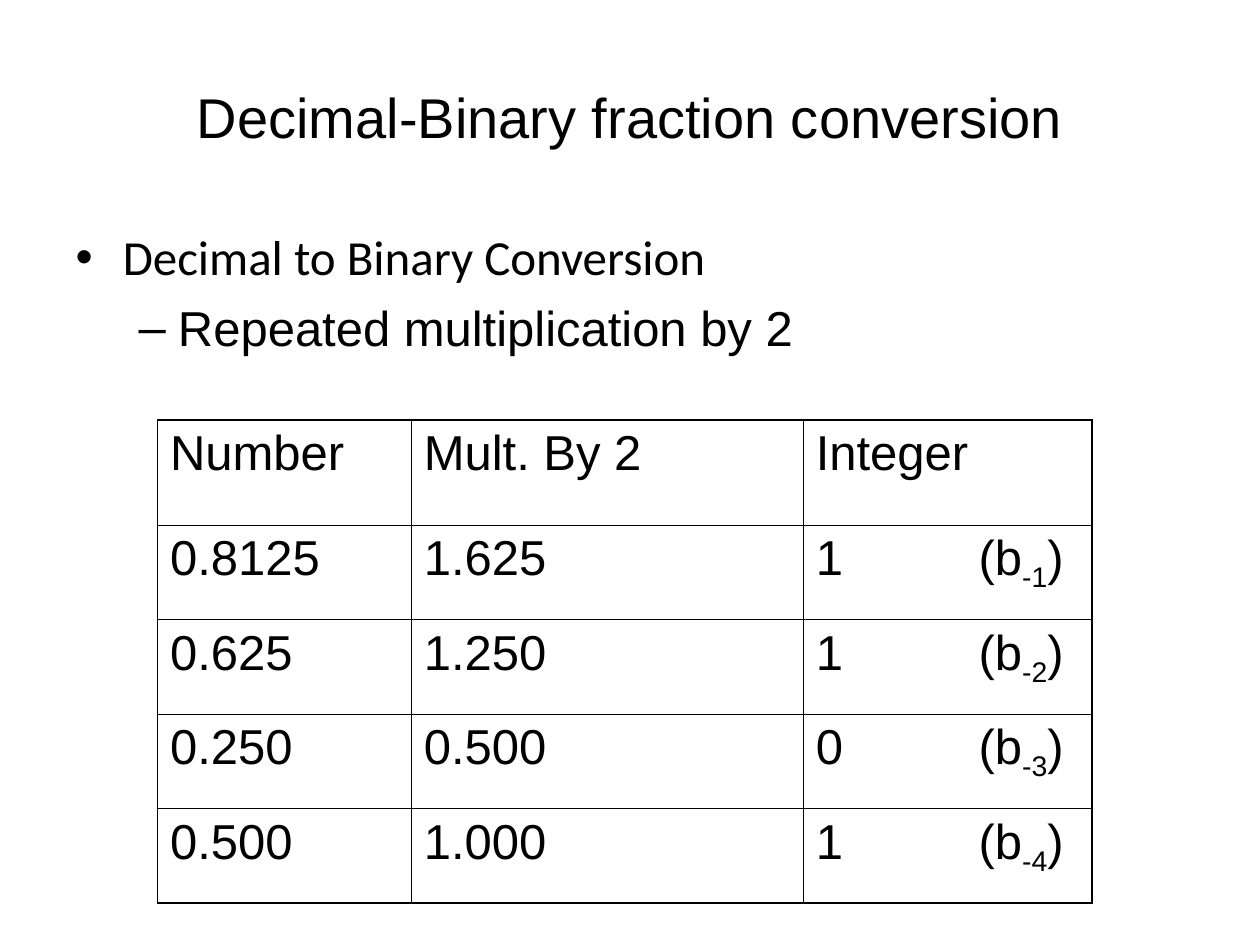
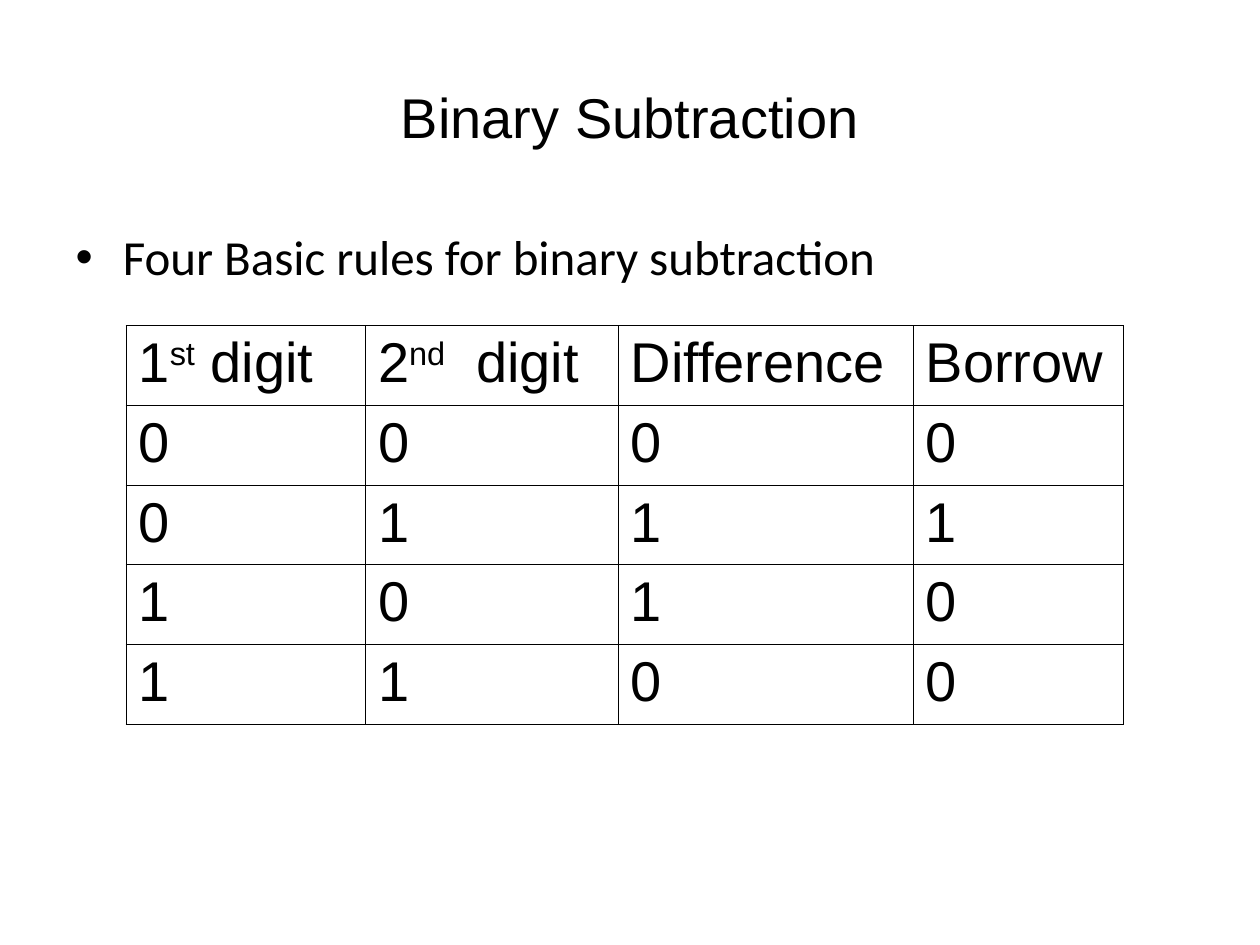
from dataclasses import dataclass

from lxml.etree import SubElement
from pptx import Presentation
from pptx.dml.color import RGBColor
from pptx.enum.text import MSO_ANCHOR as Anchor, MSO_AUTO_SIZE as AutoSize, PP_ALIGN as Align
from pptx.oxml.ns import qn
from pptx.util import Pt

INK = "000000"
SANS = "Arial"
BULLET_FONT = "Calibri"
TITLE_SIZE = 32
LIST_SIZE = 28
SPACE_BEFORE = 7
THIN = 0.45
THICK = 1.08
SUBSCRIPT = -25
SUPERSCRIPT = 30


@dataclass
class Box:
    """A rectangle in points."""
    left: float
    top: float
    width: float
    height: float


@dataclass
class TableStyle:
    """What sets one table apart from another."""
    size: float
    align: Align
    space_before: float
    frame: float
    tab: float = 0


TITLE_BOX = Box(36, 21.6, 648, 90)


def color(value):
    """Turn a hex string into a colour."""
    return RGBColor.from_string(value)


def place(shape, box):
    """Move a shape into a box."""
    shape.left, shape.top = Pt(box.left), Pt(box.top)
    shape.width, shape.height = Pt(box.width), Pt(box.height)


def add_span(para, text, size, font=SANS, baseline=0):
    """Add one formatted run, raised or lowered by a percentage."""
    span = para.add_run()
    span.text = text
    span.font.size, span.font.name = Pt(size), font
    span.font.color.rgb = color(INK)
    if baseline:
        span._r.get_or_add_rPr().set("baseline", str(baseline * 1000))


def fill_title(page, text):
    """Write the centred slide title."""
    title = page.shapes.title
    place(title, TITLE_BOX)
    title.text_frame.vertical_anchor = Anchor.MIDDLE
    title.text_frame.auto_size = AutoSize.NONE
    para = title.text_frame.paragraphs[0]
    para.alignment = Align.CENTER
    add_span(para, text, TITLE_SIZE)


def fill_list(page, box, items):
    """Write the bulleted list, one (level, text, font) item a paragraph."""
    body = page.placeholders[1]
    place(body, box)
    frame = body.text_frame
    frame.auto_size = AutoSize.NONE
    for index, (level, text, font) in enumerate(items):
        para = frame.add_paragraph() if index else frame.paragraphs[0]
        para.level = level
        para.space_before = Pt(SPACE_BEFORE)
        add_span(para, text, LIST_SIZE, font)


def set_borders(cell, widths):
    """Draw the left, right, top and bottom borders of a cell."""
    props = cell._tc.get_or_add_tcPr()
    for side, width in zip("LRTB", widths):
        line = SubElement(props, qn(f"a:ln{side}"), w=str(Pt(width)))
        fill = SubElement(line, qn("a:solidFill"))
        SubElement(fill, qn("a:srgbClr"), val=INK)


def fill_cell(cell, spans, style):
    """Write a cell's (text, baseline) spans, or its plain text."""
    para = cell.text_frame.paragraphs[0]
    para.alignment = style.align
    para.space_before = Pt(style.space_before)
    if style.tab:
        stops = SubElement(para._p.get_or_add_pPr(), qn("a:tabLst"))
        SubElement(stops, qn("a:tab"), pos=str(Pt(style.tab)), algn="l")
    for text, baseline in [(spans, 0)] if isinstance(spans, str) else spans:
        add_span(para, text, style.size, baseline=baseline)


def add_grid(page, box, widths, heights, rows, style):
    """Add a ruled table without fills."""
    table = page.shapes.add_table(len(rows), len(widths), Pt(box.left), Pt(box.top),
                                  Pt(box.width), Pt(box.height)).table
    table.first_row = table.horz_banding = False
    for column, width in zip(table.columns, widths):
        column.width = Pt(width)
    last_row, last_column = len(rows) - 1, len(widths) - 1
    for r, (row, height) in enumerate(zip(rows, heights)):
        table.rows[r].height = Pt(height)
        for c, spans in enumerate(row):
            cell = table.cell(r, c)
            on_frame = (c == 0, c == last_column, r == 0, r == last_row)
            set_borders(cell, [style.frame if outer else THIN for outer in on_frame])
            cell.fill.background()
            fill_cell(cell, spans, style)


def add_page(deck, title):
    """Add a titled slide with a list placeholder."""
    page = deck.slides.add_slide(deck.slide_layouts[1])
    fill_title(page, title)
    return page


def add_fraction_page(deck):
    """Build the slide on converting decimal fractions."""
    page = add_page(deck, "Decimal-Binary fraction conversion")
    fill_list(page, Box(36, 126, 630, 102), [
        (0, "Decimal to Binary Conversion", BULLET_FONT),
        (1, "Repeated multiplication by 2", SANS),
    ])
    steps = [("0.8125", "1.625", "1"), ("0.625", "1.250", "1"),
             ("0.250", "0.500", "0"), ("0.500", "1.000", "1")]
    rows = [("Number", "Mult. By 2", "Integer")]
    for place_number, (number, product, digit) in enumerate(steps, 1):
        bit = [(f"{digit}\t(b", 0), (f"-{place_number}", SUBSCRIPT), (")", 0)]
        rows.append((number, product, bit))
    add_grid(page, Box(90, 240, 534, 276), [145, 224, 165], [60] + [54] * len(steps), rows,
             TableStyle(LIST_SIZE, Align.LEFT, SPACE_BEFORE, THICK, tab=93))


def add_subtraction_page(deck):
    """Build the slide on the rules of binary subtraction."""
    page = add_page(deck, "Binary Subtraction")
    fill_list(page, Box(36, 126, 642, 54),
              [(0, "Four Basic rules for binary subtraction", BULLET_FONT)])
    header = ([("1", 0), ("st", SUPERSCRIPT), (" digit", 0)],
              [("2", 0), ("nd", SUPERSCRIPT), ("  digit", 0)],
              "Difference", "Borrow")
    rows = [header]
    for first in (0, 1):
        for second in (0, 1):
            values = (first, second, first ^ second, int(first < second))
            rows.append([str(value) for value in values])
    box = Box(72, 186, 570, 228)
    add_grid(page, box, [136.8, 144.5, 168.5, 120.2], [box.height / len(rows)] * len(rows),
             rows, TableStyle(TITLE_SIZE, Align.JUSTIFY, 0, THIN))


def main():
    """Build and save the deck."""
    deck = Presentation()
    deck.slide_width, deck.slide_height = Pt(720), Pt(540)
    add_fraction_page(deck)
    add_subtraction_page(deck)
    deck.save("out.pptx")


if __name__ == "__main__":
    main()
